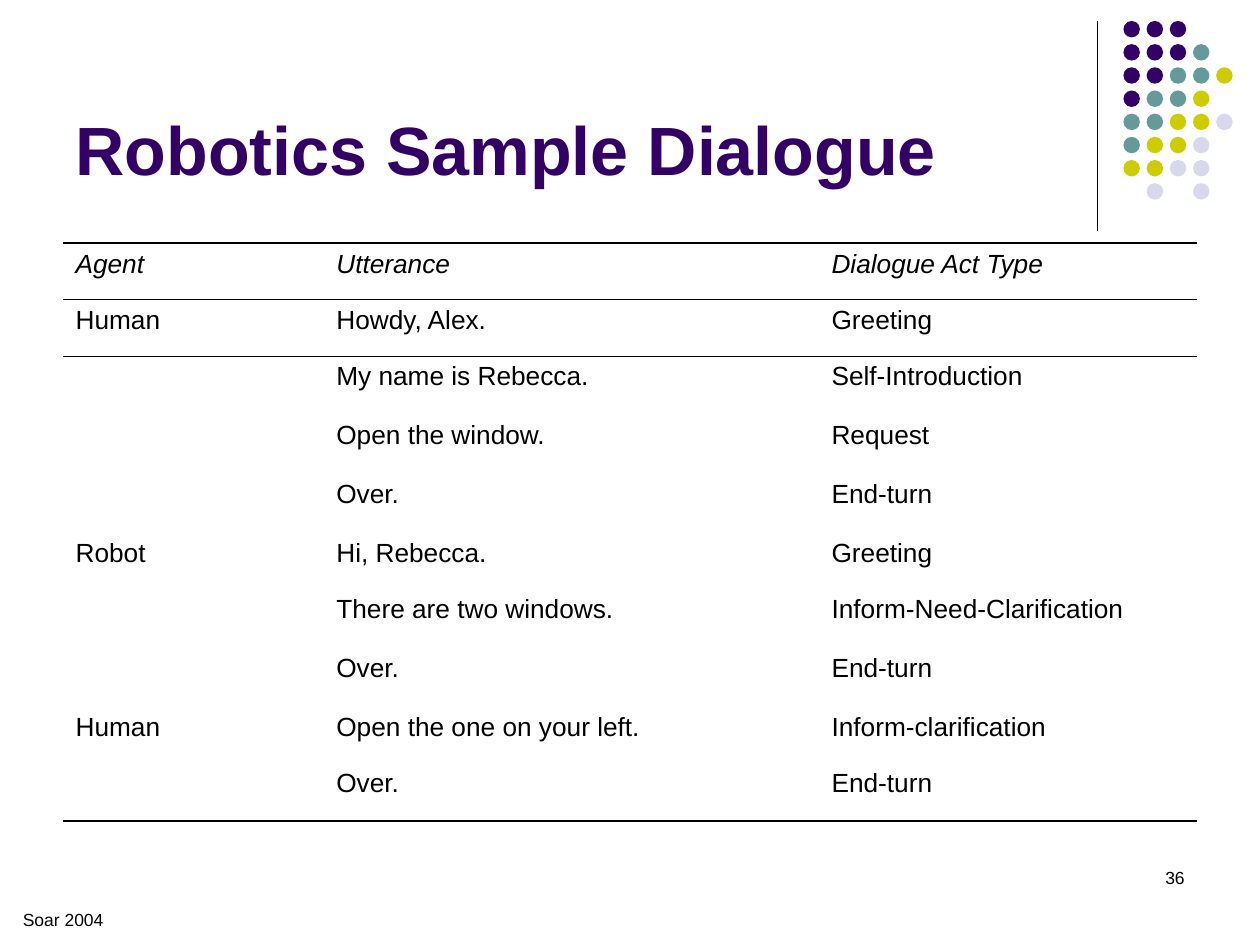
from lxml import etree
from pptx import Presentation
from pptx import util as u
from pptx.dml.color import RGBColor
from pptx.enum import shapes, text
from pptx.oxml import ns

BLACK = "000000"
PURPLE = "330066"
DOT_COLOURS = {"P": PURPLE, "T": "669999", "Y": "CCCC00", "L": "D8D8EC"}
DOT_ROWS = ["PPP", "PPPT", "PPTTY", "PTTY", "TTYYL", "TYYL", "YYLL", " L L"]
DOT_LEFT, DOT_TOP, DOT_PITCH, DOT_SIZE = 642, 12, 13.24, 9.4

COLUMN_WIDTHS = [149, 283, 216]
AGENT_ROW_HEIGHT, OTHER_ROW_HEIGHT = 32.2, 33.6
DIALOGUE = [
    ("Agent", "Utterance", "Dialogue Act Type"),
    ("Human", "Howdy, Alex.", "Greeting"),
    ("", "My name is Rebecca.", "Self-Introduction"),
    ("", "Open the window.", "Request"),
    ("", "Over.", "End-turn"),
    ("Robot", "Hi, Rebecca.", "Greeting"),
    ("", "There are two windows.", "Inform-Need-Clarification"),
    ("", "Over.", "End-turn"),
    ("Human", "Open the one on your left.", "Inform-clarification"),
    ("", "Over.", "End-turn"),
]
PLAIN_TABLE_STYLE = "{2D5ABB26-0587-4C30-8999-92F81FD0307C}"


def colour(value):
    return RGBColor.from_string(value)


def write(frame, content, size=15, fill=BLACK, bold=False, italic=False,
          align=text.PP_ALIGN.LEFT):
    paragraph = frame.paragraphs[0]
    paragraph.alignment = align
    run = paragraph.add_run()
    run.text = content
    font = run.font
    font.name = "Arial"
    font.size = u.Pt(size)
    font.bold = bold
    font.italic = italic
    font.color.rgb = colour(fill)


def add_title(slide, content):
    title = slide.shapes.title
    title.left, title.top = u.Pt(36), u.Pt(9.5)
    title.width, title.height = u.Pt(594), u.Pt(102)
    frame = title.text_frame
    frame.word_wrap = True
    frame.auto_size = text.MSO_AUTO_SIZE.NONE
    frame.vertical_anchor = text.MSO_ANCHOR.BOTTOM
    write(frame, content, size=39, fill=PURPLE, bold=True)


def add_text(slide, content, left, top, width, height, **style):
    box = slide.shapes.add_textbox(u.Pt(left), u.Pt(top), u.Pt(width), u.Pt(height))
    box.text_frame.word_wrap = True
    write(box.text_frame, content, **style)


def add_rule(slide, x, top, bottom):
    rule = slide.shapes.add_connector(
        shapes.MSO_CONNECTOR.STRAIGHT, u.Pt(x), u.Pt(top), u.Pt(x), u.Pt(bottom))
    rule.line.color.rgb = colour(BLACK)
    rule.line.width = u.Pt(0.75)
    etree.SubElement(rule._element.spPr, ns.qn("a:effectLst"))


def add_dots(slide):
    group = slide.shapes.add_group_shape()
    for row, codes in enumerate(DOT_ROWS):
        for column, code in enumerate(codes):
            if code == " ":
                continue
            dot = group.shapes.add_shape(
                shapes.MSO_SHAPE.OVAL,
                u.Pt(DOT_LEFT + column * DOT_PITCH), u.Pt(DOT_TOP + row * DOT_PITCH),
                u.Pt(DOT_SIZE), u.Pt(DOT_SIZE))
            dot.shadow.inherit = False
            dot.fill.solid()
            dot.fill.fore_color.rgb = colour(DOT_COLOURS[code])
            dot.line.fill.background()


def set_borders(cell, top=None, bottom=None):
    properties = cell._tc.get_or_add_tcPr()
    edges = [(tag, width) for tag, width in (("lnT", top), ("lnB", bottom)) if width]
    for index, (tag, width) in enumerate(edges):
        line = etree.Element(ns.qn(f"a:{tag}"), w=str(u.Pt(width)))
        fill = etree.SubElement(line, ns.qn("a:solidFill"))
        etree.SubElement(fill, ns.qn("a:srgbClr"), val=BLACK)
        properties.insert(index, line)


def add_dialogue_table(slide):
    heights = [AGENT_ROW_HEIGHT if row[0] else OTHER_ROW_HEIGHT for row in DIALOGUE]
    frame = slide.shapes.add_table(
        len(DIALOGUE), len(COLUMN_WIDTHS), u.Pt(36), u.Pt(139),
        u.Pt(sum(COLUMN_WIDTHS)), u.Pt(sum(heights)))
    table = frame.table
    table.first_row = table.horz_banding = False
    table._tbl.tblPr.find(ns.qn("a:tableStyleId")).text = PLAIN_TABLE_STYLE
    for column, width in zip(table.columns, COLUMN_WIDTHS):
        column.width = u.Pt(width)
    borders = {0: {"top": 1.08, "bottom": 0.45}, 1: {"top": 0.45},
               len(DIALOGUE) - 1: {"bottom": 1.08}}
    for row, (contents, height) in enumerate(zip(DIALOGUE, heights)):
        table.rows[row].height = u.Pt(height)
        for column, content in enumerate(contents):
            cell = table.cell(row, column)
            cell.fill.background()
            set_borders(cell, **borders.get(row, {}))
            if content:
                write(cell.text_frame, content, italic=row == 0)


def main():
    presentation = Presentation()
    presentation.slide_width, presentation.slide_height = u.Pt(720), u.Pt(540)
    slide = presentation.slides.add_slide(presentation.slide_layouts[5])
    add_rule(slide, 627, 12, 132)
    add_dots(slide)
    add_title(slide, "Robotics Sample Dialogue")
    add_dialogue_table(slide)
    add_text(slide, "36", 516, 492, 168, 36, size=10, align=text.PP_ALIGN.RIGHT)
    add_text(slide, "Soar 2004", 6, 516, 114, 18, size=10)
    presentation.save("out.pptx")


if __name__ == "__main__":
    main()
